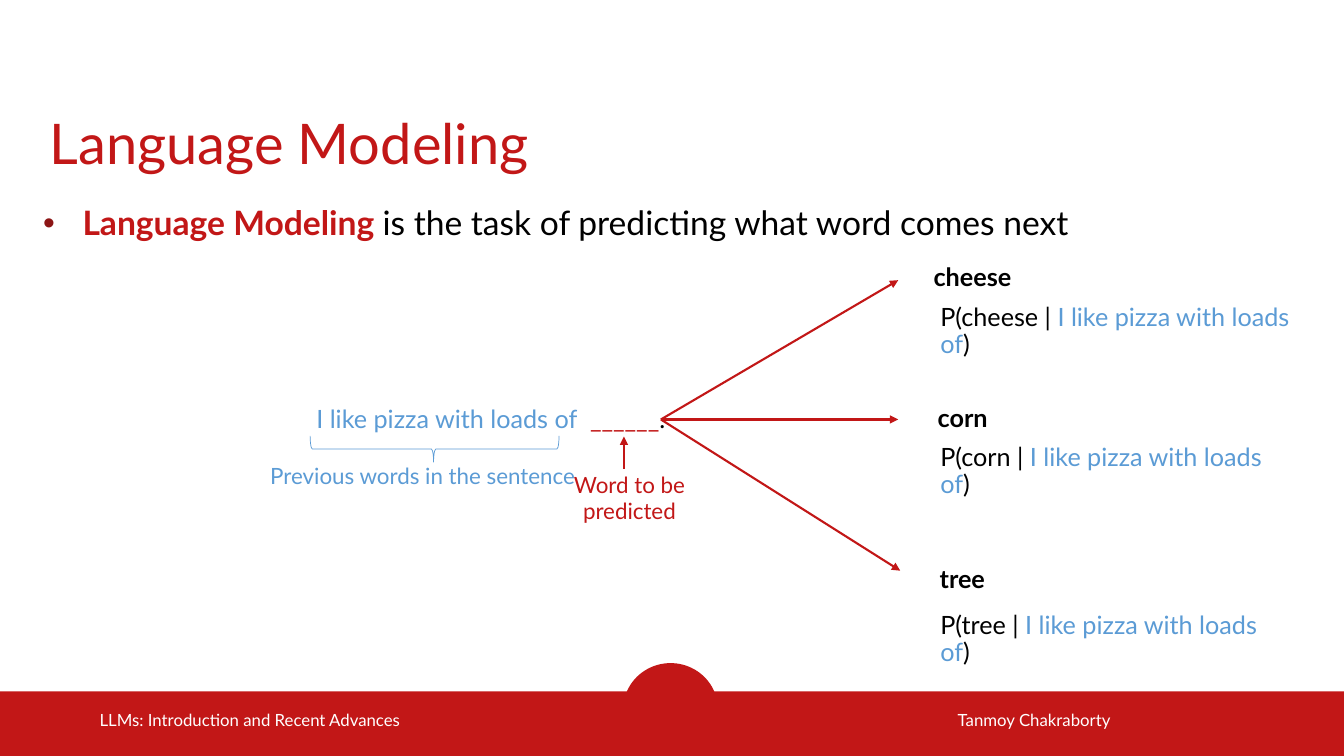
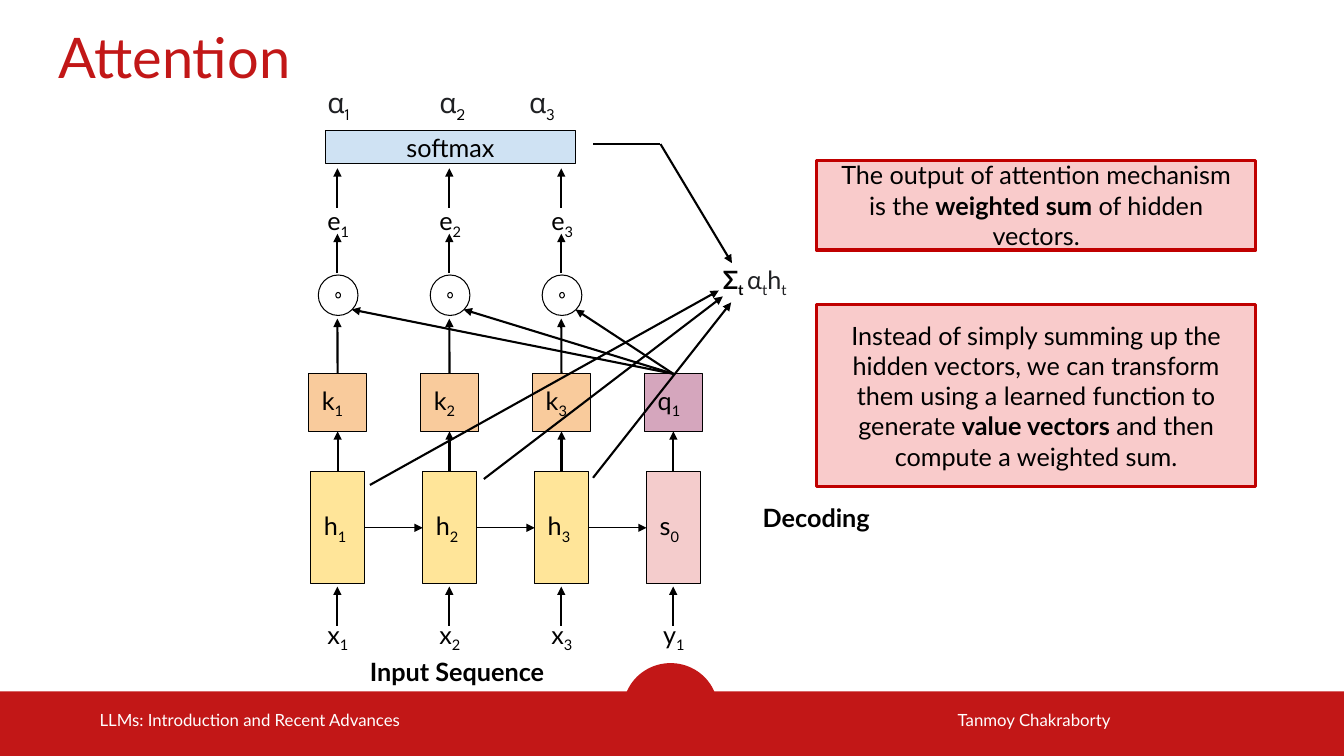
from lxml import etree
from pptx import Presentation
from pptx.dml.color import RGBColor
from pptx.enum.shapes import MSO_CONNECTOR, MSO_SHAPE
from pptx.enum.text import MSO_ANCHOR, PP_ALIGN
from pptx.oxml.ns import qn
from pptx.util import Cm, Pt

COLORS = {
    "red": "C21717", "bullet": "8C1515", "blue": "5B9BD5", "black": "000000",
    "white": "FFFFFF", "ink": "202124", "hidden": "FFE599", "key": "F9CB9C",
    "query": "D5A6BD", "state": "F4CCCC", "softmax": "CFE2F3",
    "callout": "F9CBCB", "callout_line": "C00000",
}
SLIDE_W, SLIDE_H = 33.86, 19.05
LEFT, CENTER = PP_ALIGN.LEFT, PP_ALIGN.CENTER
TOP, MIDDLE, BOTTOM = MSO_ANCHOR.TOP, MSO_ANCHOR.MIDDLE, MSO_ANCHOR.BOTTOM
BOLD, BLUE, RED, SUB = {"bold": True}, {"color": "blue"}, {"color": "red"}, {"sub": True}
INK = {"color": "ink"}

# Shared footer: text, left, width
FOOTERS = [("Tanmoy Chakraborty", 23.88, 5.94),
           ("LLMs: Introduction and Recent Advances", 2.26, 9.7)]

# Language Modeling slide
DEFINITION = [("Language Modeling ", BOLD | RED),
              ("is the task of predicting what word comes next", {})]
CONTEXT = "I like pizza with loads of"
SENTENCE = [(CONTEXT + "  ", BLUE), ("______", RED), (".", {})]
BLANK_END = (16.65, 10.57)
# word, word box (left, top, width), probability (top, width), arrow end
CANDIDATES = [
    ("cheese", (22.91, 6.43, 3.18), (7.42, 9.8), (22.63, 7.06)),
    ("corn", (22.63, 9.97, 3.25), (10.95, 9.3), None),
    ("tree", (23.04, 14.02, 2.41), (15.19, 9.3), (22.68, 14.38)),
]

# Attention slide: input, state, state colour, projection, projection colour
COLUMNS = [
    ("x1", "h1", "hidden", "k1", "key"),
    ("x2", "h2", "hidden", "k2", "key"),
    ("x3", "h3", "hidden", "k3", "key"),
    ("y1", "s0", "state", "q1", "query"),
]
COLUMN_X, COLUMN_STEP = 8.5, 2.82
ALPHA_LEFTS = [7.92, 10.74, 13]
WEIGHTED_SUM = [("Σ", BOLD), ("t ", BOLD | SUB), ("α", INK), ("t", INK | SUB),
                ("h", INK), ("t", INK | SUB)]
SUM_ARROWS = [((9.32, 12.22), (18.11, 7.32)), ((12.19, 12.07), (18.21, 7.47)),
              ((14.94, 12.04), (18.42, 7.62)), ((16.64, 3.63), (18.44, 6.63))]
CALLOUTS = [
    (4.04, 2.26, [("The output of attention mechanism is the ", {}),
                  ("weighted sum", BOLD), (" of hidden vectors.", {})]),
    (7.67, 4.6, [("Instead of simply summing up the hidden vectors, we can transform "
                  "them using a learned function to generate ", {}),
                 ("value vectors", BOLD), (" and then compute a weighted sum.", {})]),
]
CAPTIONS = [("Input Sequence", 8.2, 16.41), ("Decoding", 17.25, 12.52)]


def rgb(name):
    return RGBColor.from_string(COLORS[name])


def write(sp, runs, align=LEFT, anchor=TOP, inset=0.25, spacing=None, bullet=None, **base):
    """Fill a shape with one paragraph of (text, format) runs."""
    tf = sp.text_frame
    frame = {"word_wrap": True, "vertical_anchor": anchor}
    frame |= {f"margin_{side}": Cm(inset) for side in ("left", "right", "top", "bottom")}
    for name, value in frame.items():
        setattr(tf, name, value)
    p = tf.paragraphs[0]
    p.alignment = align
    if spacing:
        p.line_spacing = spacing
    if bullet:
        add_bullet(p, *bullet)
    for text, extra in runs:
        fmt = {"name": "Lato", "size": 18, "bold": False, "color": "black"} | base | extra
        r = p.add_run()
        r.text = text
        r.font.color.rgb = rgb(fmt.pop("color"))
        if fmt.pop("sub", False):
            r._r.get_or_add_rPr().set("baseline", "-25000")
        fmt["size"] = Pt(fmt["size"])
        for name, value in fmt.items():
            setattr(r.font, name, value)


def add_bullet(p, char, color, indent):
    pPr = p._p.get_or_add_pPr()
    pPr.set("marL", str(Cm(indent)))
    pPr.set("indent", str(-Cm(indent)))
    clr = etree.SubElement(pPr, qn("a:buClr"))
    etree.SubElement(clr, qn("a:srgbClr")).set("val", COLORS[color])
    etree.SubElement(pPr, qn("a:buFont")).set("typeface", "Arial")
    etree.SubElement(pPr, qn("a:buChar")).set("char", char)


def text(s, box, runs, **fmt):
    write(s.shapes.add_textbox(*map(Cm, box)), runs, **fmt)


def shape(s, kind, box, fill=None, line=None, weight=0.75, adjust=()):
    sp = s.shapes.add_shape(kind, *map(Cm, box))
    sp.shadow.inherit = False
    if fill:
        sp.fill.solid()
        sp.fill.fore_color.rgb = rgb(fill)
    else:
        sp.fill.background()
    if line:
        sp.line.color.rgb = rgb(line)
        sp.line.width = Pt(weight)
    else:
        sp.line.fill.background()
    for i, value in enumerate(adjust):
        sp.adjustments[i] = value
    return sp


def connect(s, start, end, color="black", weight=1.5, arrow=True):
    """Draw a line between ends given as (x, y) or (shape, side)."""
    points = [(0, 0) if hasattr(e[0], "shape_id") else e for e in (start, end)]
    c = s.shapes.add_connector(MSO_CONNECTOR.STRAIGHT,
                               *(Cm(v) for point in points for v in point))
    for e, join in ((start, c.begin_connect), (end, c.end_connect)):
        if hasattr(e[0], "shape_id"):
            join(*e)
    c.line.color.rgb = rgb(color)
    c.line.width = Pt(weight)
    if arrow:
        etree.SubElement(c.line._get_or_add_ln(), qn("a:tailEnd")).set("type", "triangle")
    etree.SubElement(c._element.spPr, qn("a:effectLst"))


def indexed(label):
    return [(label[0], {}), (label[1], SUB)]


def new_slide(prs, title, left, top):
    s = prs.slides.add_slide(prs.slide_layouts[6])
    shape(s, MSO_SHAPE.OVAL, (15.7, 16.71, 2.39, 2.34), "red")
    shape(s, MSO_SHAPE.RECTANGLE, (0, 17.42, SLIDE_W, 1.63), "red")
    for label, x, w in FOOTERS:
        text(s, (x, 17.63, w, 1.02), [(label, {})], anchor=MIDDLE, size=12, color="white")
    text(s, (left, top, 31.4, 1.75), [(title, {})], anchor=BOTTOM, inset=0,
         size=40, color="red")
    return s


def language_modeling(prs):
    s = new_slide(prs, "Language Modeling", 1.25, 2.67)
    text(s, (1.09, 5.1, 31.5, 1.4), DEFINITION, inset=0, size=24,
         bullet=("•", "bullet", 0.99))
    text(s, (7.72, 10.01, 9.63, 1.2), SENTENCE, spacing=0.9)
    for word, (x, y, w), (prob_y, prob_w), arrow_end in CANDIDATES:
        text(s, (x, y, w, 1.2), [(word, BOLD)], align=CENTER, spacing=0.9)
        connect(s, BLANK_END, arrow_end or (s.shapes[-1], 1), "red")
        text(s, (23.44, prob_y, prob_w, 1.57),
             [(f"P({word} | ", {}), (CONTEXT, BLUE), (")", {})], spacing=0.9)
    text(s, (6.27, 11.4, 8.76, 1.19), [("Previous words in the sentence", BLUE)],
         align=CENTER, size=16)
    text(s, (14.17, 11.61, 3.38, 1.68), [("Word to be predicted", RED)],
         align=CENTER, size=16)
    connect(s, (15.72, 11.81), (15.72, 11), "red")
    brace = shape(s, MSO_SHAPE.LEFT_BRACE, (10.62, 8.18, 0.66, 6.27), line="blue",
                  weight=0.5, adjust=(0.083, 0.496))
    brace.rotation = 270


def attention(prs):
    s = new_slide(prs, "Attention", 1.47, 0.51)

    def block(box, fill, runs, align=LEFT, line="black", weight=0.75):
        sp = shape(s, MSO_SHAPE.RECTANGLE, box, fill, line, weight)
        write(sp, runs, align=align, anchor=MIDDLE, inset=0.33)
        return sp

    def label(x, y, name):
        text(s, (x - 0.58, y, 1.35, 1.45), indexed(name), inset=0.33)

    centers = [COLUMN_X + i * COLUMN_STEP for i in range(len(COLUMNS))]
    states, projections = [], []
    for x, (source, state, state_fill, proj, proj_fill) in zip(centers, COLUMNS):
        states.append(block((x - 0.67, 11.89, 1.35, 2.82), state_fill, indexed(state)))
        projections.append(block((x - 0.72, 9.42, 1.45, 1.45), proj_fill, indexed(proj)))
        connect(s, (x, 15.77), (x, 14.78))
        label(x, 15.27, source)
        connect(s, (states[-1], 0), (projections[-1], 2))
    for left, right in zip(states, states[1:]):
        connect(s, (left, 3), (right, 1), weight=0.75)

    *keys, query = projections
    for i, (x, key, alpha_x) in enumerate(zip(centers, keys, ALPHA_LEFTS), 1):
        shape(s, MSO_SHAPE.DONUT, (x - 0.48, 6.93, 1, 1.02), "white", "black",
              adjust=(0.441,))
        connect(s, (key, 0), (x, 8.03))
        connect(s, (query, 0), (x + 0.36, 7.8))
        connect(s, (x, 6.88), (x, 5.89))
        connect(s, (x, 5.23), (x, 4.24))
        label(x, 4.85, f"e{i}")
        text(s, (alpha_x, 1.83, 1.8, 1.55), [("α", INK), (str(i), SUB)],
             inset=0.33, size=20, name="League Spartan")
    block((8.2, 3.3, 6.3, 0.81), "softmax", [("softmax", {})], CENTER)

    connect(s, (14.94, 3.63), (16.64, 3.63), arrow=False)
    for start, end in SUM_ARROWS:
        connect(s, start, end)
    text(s, (17.88, 6.32, 3.66, 1.45), WEIGHTED_SUM, inset=0.33)
    for y, h, runs in CALLOUTS:
        block((20.57, y, 11.07, h), "callout", runs, CENTER, "callout_line", 2.25)
    for caption, x, y in CAPTIONS:
        text(s, (x, y, 6.63, 1.02), [(caption, BOLD)], align=CENTER, inset=0.13)


def main():
    prs = Presentation()
    prs.slide_width, prs.slide_height = Cm(SLIDE_W), Cm(SLIDE_H)
    language_modeling(prs)
    attention(prs)
    prs.save("out.pptx")


if __name__ == "__main__":
    main()
